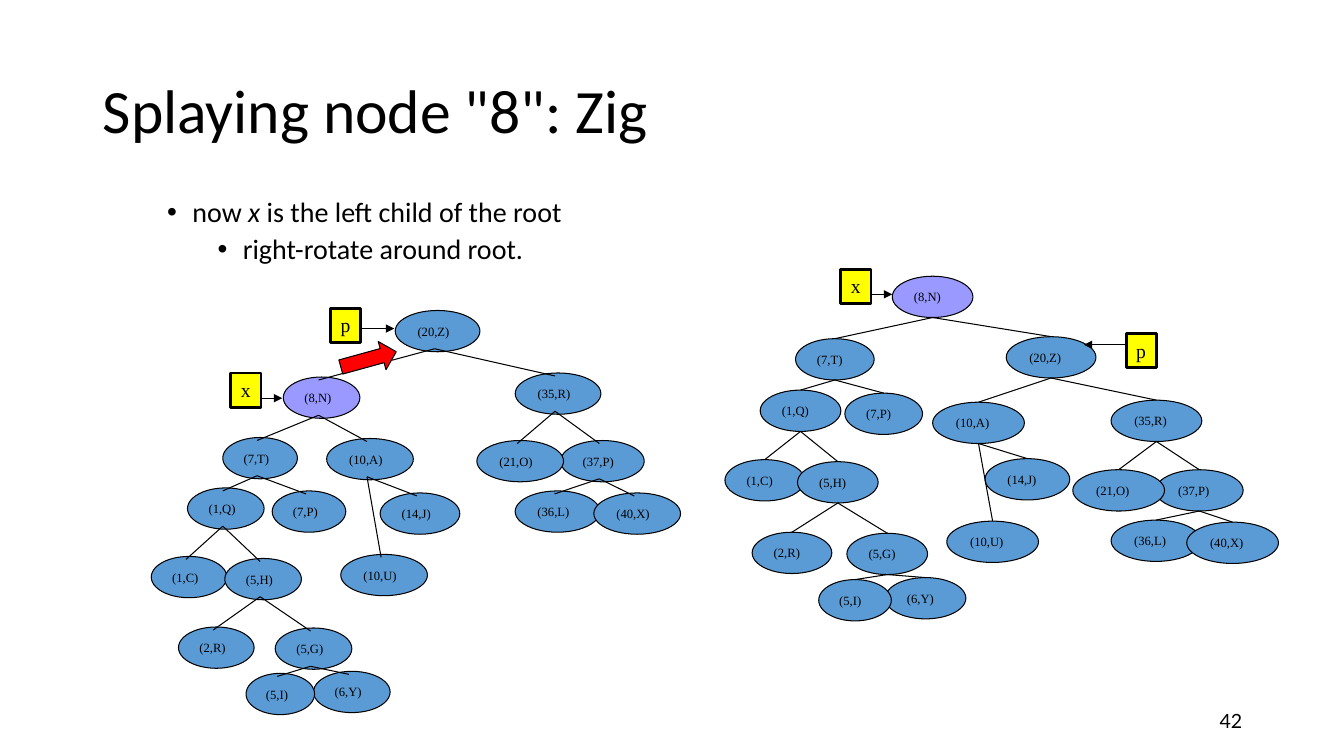
from lxml import etree
from pptx import Presentation
from pptx import util as u
from pptx.dml.color import RGBColor
from pptx.enum import shapes, text
from pptx.oxml.ns import qn

HUES = {"ink": "000000", "node": "5B9BD5", "focus": "9999FF",
        "tag": "FFFF00", "arrow": "FF0000"}

# label: left, top, width, children
BEFORE = {
    "10,A": (3.24, 4.35, 0.86, ["14,J", "10,U"]),
    "20,Z": (3.92, 3.08, 0.84, ["8,N", "35,R"]),
    "37,P": (5.56, 4.37, 0.83, ["36,L", "40,X"]),
    "21,O": (4.73, 4.37, 0.86, []),
    "35,R": (5.11, 3.7, 0.85, ["21,O", "37,P"]),
    "36,L": (5.11, 4.87, 0.84, []),
    "40,X": (5.89, 4.89, 0.86, []),
    "7,T": (2.21, 4.34, 0.74, ["1,Q", "7,P"]),
    "1,C": (1.5, 5.52, 0.75, []),
    "1,Q": (1.86, 4.84, 0.76, ["1,C", "5,H"]),
    "5,G": (2.73, 6.23, 0.76, ["5,I", "6,Y"]),
    "2,R": (1.77, 6.22, 0.75, []),
    "5,H": (2.23, 5.54, 0.76, ["2,R", "5,G"]),
    "6,Y": (3.11, 6.66, 0.76, []),
    "5,I": (2.44, 6.68, 0.68, []),
    "14,J": (3.77, 4.89, 0.79, []),
    "8,N": (2.81, 3.74, 0.76, ["7,T", "10,A"]),
    "7,P": (2.7, 4.87, 0.73, []),
    "10,U": (3.38, 5.5, 0.86, []),
}
AFTER = {
    "10,A": (9.25, 3.99, 0.91, ["14,J", "10,U"]),
    "20,Z": (9.98, 3.34, 0.89, ["10,A", "35,R"]),
    "37,P": (11.46, 4.66, 0.87, ["36,L", "40,X"]),
    "21,O": (10.64, 4.66, 0.91, []),
    "35,R": (11.02, 3.97, 0.9, ["21,O", "37,P"]),
    "36,L": (11.02, 5.16, 0.89, []),
    "40,X": (11.77, 5.18, 0.91, []),
    "7,T": (7.89, 3.36, 0.78, ["1,Q", "7,P"]),
    "1,C": (7.19, 4.56, 0.79, []),
    "1,Q": (7.54, 3.87, 0.8, ["1,C", "5,H"]),
    "5,G": (8.4, 5.29, 0.8, ["5,I", "6,Y"]),
    "2,R": (7.46, 5.28, 0.79, []),
    "5,H": (7.91, 4.58, 0.8, ["2,R", "5,G"]),
    "6,Y": (8.78, 5.73, 0.8, []),
    "5,I": (8.12, 5.75, 0.72, []),
    "14,J": (9.77, 4.55, 0.84, []),
    "8,N": (8.85, 2.74, 0.8, ["7,T", "20,Z"]),
    "7,P": (8.38, 3.9, 0.77, []),
    "10,U": (9.39, 5.17, 0.91, []),
}
HIGH = 0.41


def hue(name):
    return RGBColor.from_string(HUES[name])


class Board:
    """Holds the slide and draws each kind of element in one style."""

    def __init__(self, slide):
        self.slide = slide

    def add_text(self, para, words, size, face, slant=None):
        run = para.add_run()
        run.text = words
        run.font.size = u.Pt(size)
        run.font.name = face
        run.font.italic = slant
        run.font.color.rgb = hue("ink")

    def title(self, words):
        box = self.slide.shapes.title
        box.left, box.top = u.Inches(0.92), u.Inches(0.4)
        box.width, box.height = u.Inches(11.5), u.Inches(1.45)
        box.text_frame.vertical_anchor = text.MSO_ANCHOR.MIDDLE
        para = box.text_frame.paragraphs[0]
        para.alignment = text.PP_ALIGN.LEFT
        para.line_spacing = 0.9
        self.add_text(para, words, 44, "Calibri")

    def frame(self, *spot):
        box = self.slide.shapes.add_textbox(*map(u.Inches, spot))
        box.text_frame.word_wrap = True
        return box.text_frame

    def bullet(self, para, level, parts):
        """Fill a bulleted paragraph from (words, italic) parts."""
        para.level = level
        para.line_spacing = 0.9
        props = para._p.get_or_add_pPr()
        props.set("marL", str(u.Inches(0.25 + 0.5 * level)))
        props.set("indent", str(u.Inches(-0.25)))
        etree.SubElement(props, qn("a:buFont")).set("typeface", "Arial")
        etree.SubElement(props, qn("a:buChar")).set("char", "•")
        for words, slant in parts:
            self.add_text(para, words, 20, "Calibri", slant)

    def shape(self, kind, spot, fill, width=0.75):
        item = self.slide.shapes.add_shape(kind, *map(u.Inches, spot))
        item.shadow.inherit = False
        item.fill.solid()
        item.fill.fore_color.rgb = hue(fill)
        item.line.color.rgb = hue("ink")
        item.line.width = u.Pt(width)
        return item

    def label(self, item, words, size, wrap, anchor):
        frame = item.text_frame
        frame.word_wrap = wrap
        frame.auto_size = text.MSO_AUTO_SIZE.SHAPE_TO_FIT_TEXT
        frame.vertical_anchor = anchor
        para = frame.paragraphs[0]
        para.alignment = text.PP_ALIGN.LEFT
        self.add_text(para, words, size, "Times New Roman")

    def line(self, start, end, head=False):
        ends = map(u.Inches, (*start, *end))
        link = self.slide.shapes.add_connector(
            shapes.MSO_CONNECTOR.STRAIGHT, *ends)
        link.line.color.rgb = hue("ink")
        link.line.width = u.Pt(0.75)
        props = link._element.spPr
        if head:
            tip = etree.SubElement(props.find(qn("a:ln")), qn("a:tailEnd"))
            tip.set("type", "triangle")
        etree.SubElement(props, qn("a:effectLst"))

    def tree(self, nodes, wrap, shift=0, inset=0):
        """Draw ovals, then edges; shift and inset move the edge ends."""
        for name, (left, top, wide, _) in nodes.items():
            fill = "focus" if name == "8,N" else "node"
            oval = self.shape(shapes.MSO_SHAPE.OVAL,
                              (left, top, wide, HIGH), fill)
            self.label(oval, f"({name})", 9, wrap, text.MSO_ANCHOR.MIDDLE)
        for left, top, wide, kids in nodes.values():
            start = left + wide / 2 + shift, top + HIGH - inset
            for kid in kids:
                x, y, span, _ = nodes[kid]
                self.line(start, (x + span / 2 + shift, y + inset))

    def tag(self, name, left, top, start, end, level):
        """Draw a pointer box and its arrow at the height given by level."""
        self.line((start, level), (end, level), head=True)
        box = self.shape(shapes.MSO_SHAPE.RECTANGLE,
                         (left, top, 0.3, 0.34), "tag", 2)
        self.label(box, name, 14, False, text.MSO_ANCHOR.TOP)


def main():
    deck = Presentation()
    deck.slide_width, deck.slide_height = u.Inches(13.33), u.Inches(7.5)
    board = Board(deck.slides.add_slide(deck.slide_layouts[5]))
    board.title('Splaying node "8": Zig')

    body = board.frame(1.56, 1.92, 6.15, 0.82)
    board.bullet(body.paragraphs[0], 0, [
        ("now", None), (" x", True), (" is the left child of the root", None)])
    para = body.add_paragraph()
    para.space_before = u.Pt(5)
    board.bullet(para, 1, [("right-rotate around root.", None)])

    page = board.frame(9.42, 6.95, 3, 0.4)
    page.vertical_anchor = text.MSO_ANCHOR.MIDDLE
    page.paragraphs[0].alignment = text.PP_ALIGN.RIGHT
    board.add_text(page.paragraphs[0], "42", 14, "Lato")

    board.tree(AFTER, True)
    board.tree(BEFORE, False, shift=-0.03, inset=0.03)
    for spot in [("x", 2.29, 3.7, 2.54, 2.8, 3.95),
                 ("p", 3.28, 3.06, 3.57, 3.91, 3.26),
                 ("x", 8.34, 2.67, 8.59, 8.85, 2.92),
                 ("p", 11.17, 3.31, 11.17, 10.75, 3.42)]:
        board.tag(*spot)
    turn = board.shape(shapes.MSO_SHAPE.DOWN_ARROW,
                       (3.51, 3.28, 0.29, 0.57), "arrow")
    turn.rotation = 254.6
    deck.save("out.pptx")


if __name__ == "__main__":
    main()
